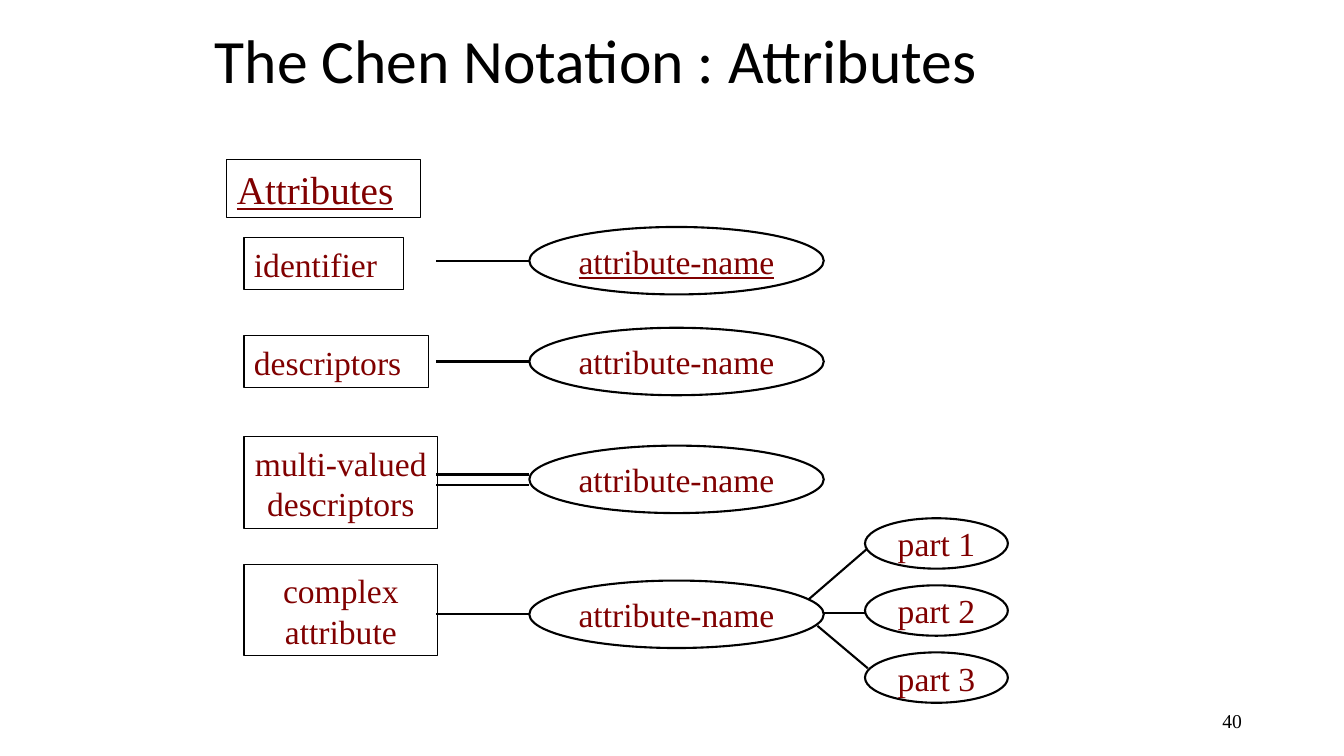
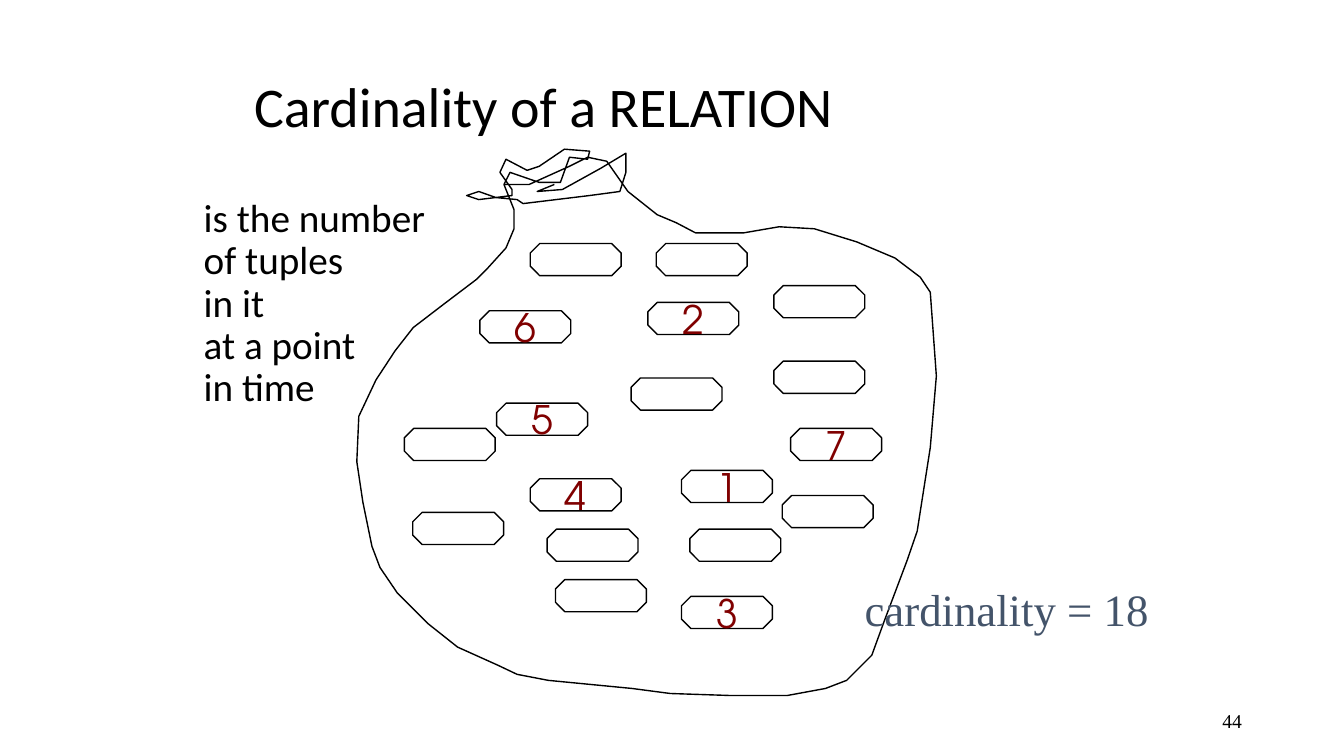
"""Build two slides on Chen notation attributes and the cardinality of a relation."""
import dataclasses

import lxml.etree
import pptx
import pptx.dml.color
import pptx.enum.shapes
import pptx.enum.text
import pptx.oxml.ns
import pptx.util

Cm = pptx.util.Cm
Pt = pptx.util.Pt
ALIGN = pptx.enum.text.PP_ALIGN
ANCHOR = pptx.enum.text.MSO_ANCHOR
SHAPE = pptx.enum.shapes.MSO_SHAPE


@dataclasses.dataclass(frozen=True)
class Theme:
    """Colours, fonts and type sizes shared by the slides."""
    black: str = "000000"
    maroon: str = "800000"
    slate: str = "44546A"
    sans: str = "Calibri"
    serif: str = "Times New Roman"
    digit: str = "TeX Gyre Adventor"
    title: int = 44
    title_small: int = 40
    result: int = 32
    large: int = 28
    label: int = 24
    number: int = 14
    hairline: float = 0.75
    thin: float = 1
    medium: float = 1.5
    thick: float = 2


T = Theme()

LABEL_X, STROKE_X, OVAL_X, PART_X = 6.15, 11, 13.34, 21.8
OVAL_W, OVAL_H = 7.42, 1.7
LINE_H, LABEL_PAD = 1.01, 0.29
SINGLE = [(0, T.medium)]
DOUBLE = [(-0.13, T.thick), (0.13, T.medium)]
ATTRIBUTES = [
    ("identifier", 1, 5.99, 4.01, 5.72, SINGLE),
    ("descriptors", 1, 8.46, 4.65, 8.26, SINGLE),
    ("multi-valued descriptors", 2, 11, 4.88, 11.23, DOUBLE),
    ("complex attribute", 2, 14.22, 4.88, 14.63, SINGLE),
]
PART_Y, PART_STEP = 13.06, 1.69
PART_RAYS = [(20.37, 15.11, 21.84, 13.84), (20.75, 15.44, 21.8, 15.44),
             (20.6, 15.77, 21.87, 16.84)]
NUMBERED = 7
TUPLE_UNIT = 2.54 / 12
TUPLES = [
    (81, 56), (77, 36), (81, 71), (63, 57), (59, 48), (57, 37), (94, 51),
    (92, 43), (65, 63), (75, 45), (93, 59), (48, 51), (49, 61), (66, 69),
    (82, 63), (92, 34), (78, 29), (63, 29),
]
SACK_UNIT = Cm(2.54) / 100
SACK = [
    (500, 183), (510, 208), (510, 227), (502, 246), (483, 267), (473, 277),
    (440, 302), (410, 325), (392, 348), (373, 377), (356, 413), (354, 458),
    (360, 498), (369, 542), (377, 563), (394, 588), (425, 619), (454, 642),
    (494, 660), (513, 669), (544, 675), (627, 683), (665, 688), (725, 690),
    (781, 690), (819, 683), (840, 675), (865, 650), (877, 617), (900, 556),
    (910, 527), (923, 444), (929, 373), (923, 290), (913, 275), (888, 256),
    (850, 240), (808, 227), (773, 225), (738, 231), (690, 231), (671, 221),
    (652, 213), (623, 190), (602, 160), (583, 156), (565, 165), (525, 183),
    (500, 183), (506, 171), (535, 181), (556, 181), (565, 156), (583, 158),
    (585, 150), (560, 148), (535, 165), (523, 169), (502, 158), (496, 171),
    (508, 188), (508, 194), (475, 198), (463, 194), (475, 190), (492, 196),
    (513, 198), (519, 202), (585, 194), (615, 190), (621, 171), (621, 152),
    (596, 167), (558, 188), (533, 190), (550, 183),
]


def apply(obj, values):
    """Set each named value on an object."""
    for name, value in values.items():
        setattr(obj, name, value)


def rgb(colour):
    """Turn a hex string into a colour."""
    return pptx.dml.color.RGBColor.from_string(colour)


def place(sp, x, y, w, h):
    """Move and size a shape, in centimetres."""
    apply(sp, {"left": Cm(x), "top": Cm(y), "width": Cm(w), "height": Cm(h)})


def write(sp, text, font, size, colour, para=None, frame=None, underline=False):
    """Fill a shape with one formatted paragraph."""
    tf = sp.text_frame
    apply(tf, {"word_wrap": True, "auto_size": pptx.enum.text.MSO_AUTO_SIZE.NONE,
               **(frame or {})})
    p = tf.paragraphs[0]
    p.text = text
    apply(p, {"alignment": ALIGN.LEFT, **(para or {})})
    for r in p.runs:
        apply(r.font, {"name": font, "size": Pt(size), "underline": underline})
        r.font.color.rgb = rgb(colour)


def outline(sp, width):
    """Give a shape a plain black outline without fill or shadow."""
    sp.fill.background()
    sp.shadow.inherit = False
    sp.line.color.rgb = rgb(T.black)
    sp.line.width = Pt(width)


def add_outlined(s, kind, box, width):
    """Add an outlined preset shape."""
    sp = s.shapes.add_shape(kind, *map(Cm, box))
    outline(sp, width)
    return sp


def add_label(s, text, box, size=T.label, align=ALIGN.LEFT, underline=False):
    """Add a framed label."""
    sp = add_outlined(s, SHAPE.RECTANGLE, box, T.hairline)
    write(sp, text, T.serif, size, T.maroon, {"alignment": align},
          {"vertical_anchor": ANCHOR.BOTTOM}, underline)


def write_centred(sp, text, font, size, underline=False):
    """Centre one unwrapped line in a shape."""
    write(sp, text, font, size, T.maroon, {"alignment": ALIGN.CENTER},
          {"vertical_anchor": ANCHOR.MIDDLE, "word_wrap": False}, underline)


def add_oval(s, text, box, underline=False):
    """Add an attribute oval."""
    sp = add_outlined(s, SHAPE.OVAL, box, T.medium)
    write_centred(sp, text, T.serif, T.label, underline)


def add_line(s, ends, width=T.medium):
    """Add a straight black connector."""
    c = s.shapes.add_connector(pptx.enum.shapes.MSO_CONNECTOR.STRAIGHT, *map(Cm, ends))
    c.line.color.rgb = rgb(T.black)
    c.line.width = Pt(width)
    lxml.etree.SubElement(c._element.spPr, pptx.oxml.ns.qn("a:effectLst"))


def add_text(s, text, box, size, colour, para=None, frame=None):
    """Add a serif text box."""
    sp = s.shapes.add_textbox(*map(Cm, box))
    write(sp, text, T.serif, size, colour, para, frame)


def add_sack(s):
    """Add the tied sack that holds the tuples."""
    fb = s.shapes.build_freeform(*SACK[0], scale=SACK_UNIT)
    fb.add_line_segments(SACK[1:], close=False)
    outline(fb.convert_to_shape(), T.thin)


def add_tuples(s):
    """Add the tuples of the relation, the first ones numbered."""
    for i, (column, row) in enumerate(TUPLES, 1):
        box = (column * TUPLE_UNIT + 0.03, row * TUPLE_UNIT, 2.29, 0.81)
        sp = add_outlined(s, SHAPE.OCTAGON, box, T.thin)
        if i <= NUMBERED:
            write_centred(sp, str(i), T.digit, T.large)


def fill_body(s, text, box):
    """Fill the body placeholder with unbulleted text."""
    sp = s.placeholders[1]
    place(sp, *box)
    pPr = sp.text_frame.paragraphs[0]._p.get_or_add_pPr()
    for name in ("marL", "indent"):
        pPr.set(name, "0")
    lxml.etree.SubElement(pPr, pptx.oxml.ns.qn("a:buNone"))
    write(sp, text, T.sans, T.large, T.black,
          {"line_spacing": 0.9, "space_before": Pt(0)},
          {"vertical_anchor": ANCHOR.TOP})


def add_slide(prs, layout, title, box, size, number):
    """Add a slide with its title and number."""
    s = prs.slides.add_slide(prs.slide_layouts[layout])
    place(s.shapes.title, *box)
    write(s.shapes.title, title, T.sans, size, T.black, {"line_spacing": 0.9},
          {"vertical_anchor": ANCHOR.MIDDLE})
    add_text(s, number, (23.93, 17.65, 7.62, 1.02), T.number, T.black,
             {"alignment": ALIGN.RIGHT}, {"vertical_anchor": ANCHOR.MIDDLE})
    return s


def build_attributes(prs):
    """Build the slide on attribute notation."""
    s = add_slide(prs, 5, "The Chen Notation : Attributes",
                  (5.16, 0, 22.93, 3.18), T.title, "40")
    add_label(s, "Attributes", (5.72, 4.01, 4.88, 1.47), T.large, underline=True)
    for text, lines, y, w, oval_y, strokes in ATTRIBUTES:
        add_label(s, text, (LABEL_X, y, w, lines * LINE_H + LABEL_PAD),
                  align=ALIGN.CENTER if lines > 1 else ALIGN.LEFT)
        add_oval(s, "attribute-name", (OVAL_X, oval_y, OVAL_W, OVAL_H),
                 underline=text == "identifier")
        for dy, width in strokes:
            line_y = oval_y + OVAL_H / 2 + dy
            add_line(s, (STROKE_X, line_y, OVAL_X, line_y), width)
    for i, ends in enumerate(PART_RAYS):
        add_oval(s, f"part {i + 1}", (PART_X, PART_Y + i * PART_STEP, 3.6, 1.27))
        add_line(s, ends)


def build_cardinality(prs):
    """Build the slide on cardinality."""
    s = add_slide(prs, 1, "Cardinality of a RELATION",
                  (6.15, 1.7, 21.59, 2.11), T.title_small, "44")
    fill_body(s, "is the number\vof tuples\vin it\vat a point\vin time",
              (4.88, 4.88, 23.93, 10.8))
    add_sack(s)
    add_tuples(s)
    add_text(s, "cardinality = 18", (21.54, 14.53, 7.75, 1.63), T.result, T.slate,
             frame={"word_wrap": False})


def main():
    """Build and save the presentation."""
    prs = pptx.Presentation()
    apply(prs, {"slide_width": Cm(33.87), "slide_height": Cm(19.05)})
    build_attributes(prs)
    build_cardinality(prs)
    prs.save("out.pptx")


if __name__ == "__main__":
    main()
